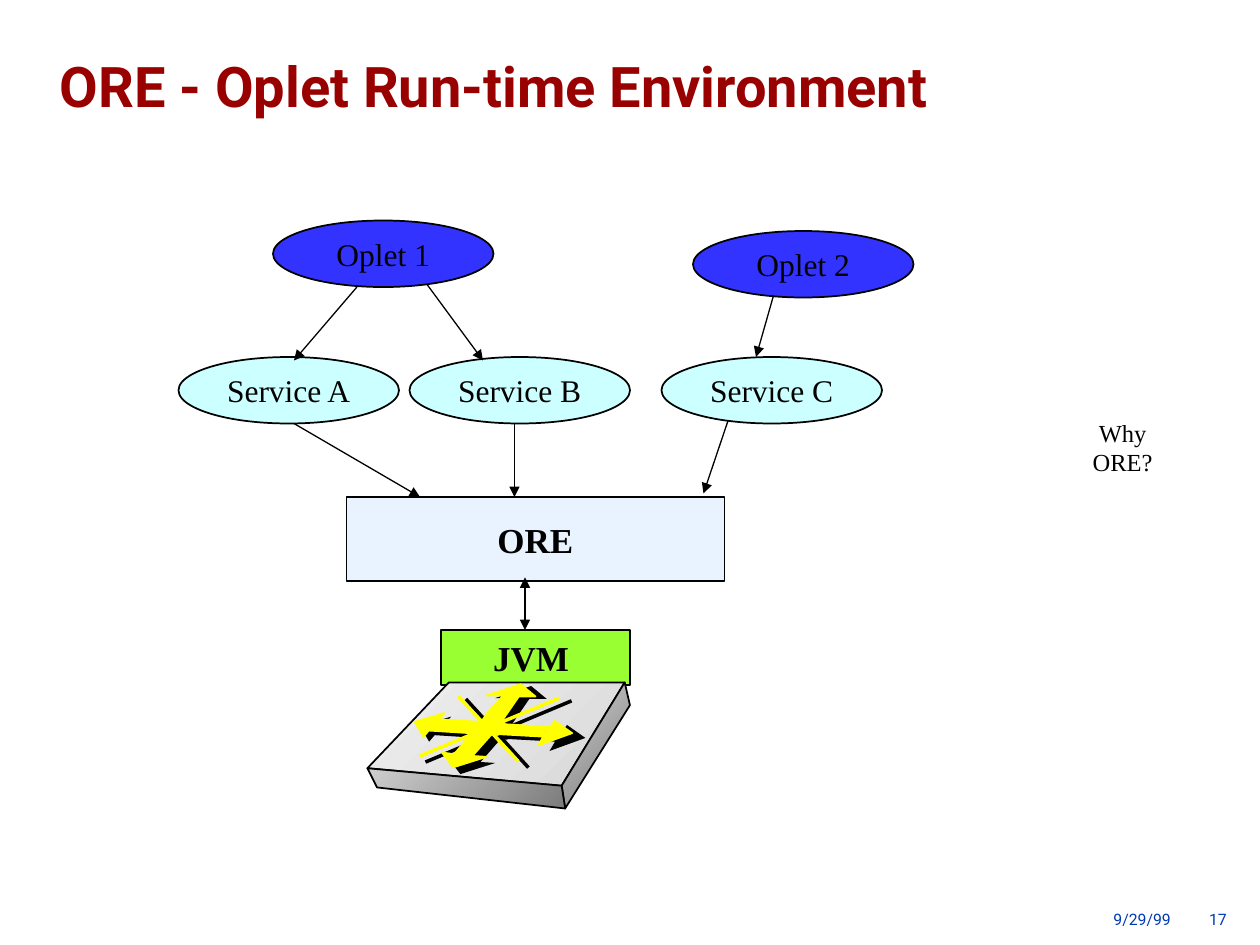
from pptx import Presentation
from pptx.dml.color import RGBColor
from pptx.enum.shapes import MSO_CONNECTOR, MSO_SHAPE as SHAPE
from pptx.enum.text import MSO_ANCHOR as ANCHOR, PP_ALIGN as ALIGN
from pptx.oxml.ns import qn
from pptx.util import Pt
from lxml.etree import SubElement

BLACK = RGBColor(0x00, 0x00, 0x00)
YELLOW = RGBColor(0xFF, 0xFF, 0x00)
DARK_RED = RGBColor(0x99, 0x00, 0x00)
FOOTER_BLUE = RGBColor(0x00, 0x3B, 0xB2)
OPLET_BLUE = RGBColor(0x33, 0x33, 0xFF)
SERVICE_CYAN = RGBColor(0xCC, 0xFF, 0xFF)
ORE_BLUE = RGBColor(0xE9, 0xF2, 0xFF)
JVM_GREEN = RGBColor(0x99, 0xFF, 0x33)
TOP_GRAYS = RGBColor(0xF0, 0xF0, 0xF0), RGBColor(0xD8, 0xD8, 0xD8)
SIDE_GRAYS = RGBColor(0xCE, 0xCE, 0xCE), RGBColor(0x7C, 0x7C, 0x7C)

prs = Presentation()
prs.slide_width, prs.slide_height = Pt(720), Pt(540)
shapes = prs.slides.add_slide(prs.slide_layouts[6]).shapes


def add_polygon(points):
    first, *rest = [(Pt(x), Pt(y)) for x, y in points]
    builder = shapes.build_freeform(*first)
    builder.add_line_segments(rest, close=True)
    sp = builder.convert_to_shape()
    sp.shadow.inherit = False
    return sp


def add_line(start, end, color, width, ends=()):
    """Draw a straight line; ends lists headEnd and/or tailEnd arrowheads."""
    line = shapes.add_connector(MSO_CONNECTOR.STRAIGHT, *map(Pt, start + end))
    line.line.color.rgb = color
    line.line.width = Pt(width)
    ln = line.line._get_or_add_ln()
    for tag in ends:
        SubElement(ln, qn(f"a:{tag}"), type="triangle")
    SubElement(line._element.spPr, qn("a:effectLst"))


# Title, side note and footer
title_font = dict(name="Roboto", size=Pt(32), bold=True)
note_font = dict(name="Times New Roman", size=Pt(14), bold=False)
footer_font = dict(name="Roboto", size=Pt(9), bold=False)
texts = [
    ("ORE - Oplet Run-time Environment", (27, 30, 693, 60), title_font, DARK_RED,
     ALIGN.LEFT, ANCHOR.TOP, 3.6),
    ("Why ORE?", (602, 243.5, 79, 24), note_font, BLACK,
     ALIGN.CENTER, ANCHOR.MIDDLE, 3.6),
    ("\t9/29/99\t17", (484.5, 520, 223, 12), footer_font, FOOTER_BLUE,
     ALIGN.LEFT, ANCHOR.TOP, 0),
]
for text, box, font, color, align, anchor, inset in texts:
    tf = shapes.add_textbox(*map(Pt, box)).text_frame
    tf.word_wrap = text != "Why ORE?"
    tf.vertical_anchor = anchor
    tf.margin_top = tf.margin_bottom = Pt(inset)
    p = tf.paragraphs[0]
    p.alignment = align
    if font is title_font:
        p.line_spacing = 0.9
    if font is footer_font:
        tf.margin_left = tf.margin_right = Pt(6.5)
        tabs = SubElement(p._p.get_or_add_pPr(), qn("a:tabLst"))
        for stop in (178, 210):
            SubElement(tabs, qn("a:tab"), pos=str(Pt(stop)), algn="r")
    r = p.add_run()
    r.text = text
    for key, value in font.items():
        setattr(r.font, key, value)
    r.font.color.rgb = color

# Oplets, services and the layers below them
node_font = dict(name="Times New Roman", size=Pt(18), bold=False)
layer_font = dict(name="Times New Roman", size=Pt(20), bold=True)
OVAL = (126, 38)
nodes = [
    ("Oplet 1", SHAPE.OVAL, (156, 126, *OVAL), OPLET_BLUE, node_font),
    ("Oplet 2", SHAPE.OVAL, (396, 132, *OVAL), OPLET_BLUE, node_font),
    ("Service A", SHAPE.OVAL, (102, 204, *OVAL), SERVICE_CYAN, node_font),
    ("Service B", SHAPE.OVAL, (234, 204, *OVAL), SERVICE_CYAN, node_font),
    ("Service C", SHAPE.OVAL, (378, 204, *OVAL), SERVICE_CYAN, node_font),
    ("ORE", SHAPE.RECTANGLE, (198, 284, 216, 48), ORE_BLUE, layer_font),
    ("JVM ", SHAPE.RECTANGLE, (252, 360, 108, 31.5), JVM_GREEN, layer_font),
]
for text, kind, box, fill, font in nodes:
    sp = shapes.add_shape(kind, *map(Pt, box))
    sp.shadow.inherit = False
    sp.fill.solid()
    sp.fill.fore_color.rgb = fill
    sp.line.color.rgb = BLACK
    sp.line.width = Pt(1)
    tf = sp.text_frame
    tf.word_wrap = False
    tf.vertical_anchor = ANCHOR.MIDDLE
    p = tf.paragraphs[0]
    p.alignment = ALIGN.CENTER
    r = p.add_run()
    r.text = text
    for key, value in font.items():
        setattr(r.font, key, value)
    r.font.color.rgb = BLACK

# Switch body: three faces around shared corners
left, back_left, back_right = (210, 439), (256.5, 390), (357, 390)
front, front_low = (321, 449), (323, 462)
faces = [
    ([left, back_left, back_right, front], TOP_GRAYS),
    ([front_low, front, back_right, (360, 403)], SIDE_GRAYS),
    ([left, (215.5, 450), front_low, front], SIDE_GRAYS),
]
for points, grays in faces:
    sp = add_polygon(points)
    sp.fill.gradient()
    sp.fill.gradient_angle = 315
    for stop, gray in zip(sp.fill.gradient_stops, grays):
        stop.color.rgb = gray
    sp.line.color.rgb = BLACK
    sp.line.width = Pt(1)

# Switch arrows: a slightly enlarged black shadow below the yellow set
switch_arrows = [
    [(283, 417.5), (272, 417), (278, 408), (287.5, 397.5), (278, 397.5),
     (297.5, 391), (306, 398), (296.5, 398)],
    [(281.5, 419), (270, 418.5), (259.5, 431), (252.5, 430), (259, 438.5),
     (278, 432.5), (270, 432)],
    [(282, 413.5), (314.5, 415.5), (317, 412), (327, 419), (307.5, 426),
     (310.5, 421), (274.5, 419)],
    [(288.5, 413.5), (250.5, 411), (254, 407.5), (237, 412.5), (242, 421),
     (245, 417.5), (284.5, 420)],
]
switch_lines = [[(240, 432), (319.5, 399)], [(262, 398), (296, 435)]]
for color, scale_x, scale_y, dx, dy in [(BLACK, 1.05, 1.06, 3, 2),
                                        (YELLOW, 1, 1, 0, 0)]:
    arrows, lines = [
        [[(237 + dx + (x - 237) * scale_x, 407.5 + dy + (y - 407.5) * scale_y)
          for x, y in points] for points in group]
        for group in (switch_arrows, switch_lines)]
    for points in arrows:
        sp = add_polygon(points)
        sp.fill.solid()
        sp.fill.fore_color.rgb = color
        if color == YELLOW:
            sp.line.color.rgb = color
            sp.line.width = Pt(1)
        else:
            sp.line.fill.background()
    for start, end in lines:
        add_line(start, end, color, 2)

# Dependencies between the layers
dependencies = [
    ((204, 164), (168, 206)),
    ((244, 162.5), (276, 206)),
    ((442, 169), (432, 204)),
    ((168, 242), (240, 284)),
    ((294, 242), (294, 284)),
    ((416, 240.5), (402, 282)),
]
for start, end in dependencies:
    add_line(start, end, BLACK, 0.75, ["tailEnd"])
add_line((300, 330), (300, 360), BLACK, 1, ["headEnd", "tailEnd"])

prs.save("out.pptx")
